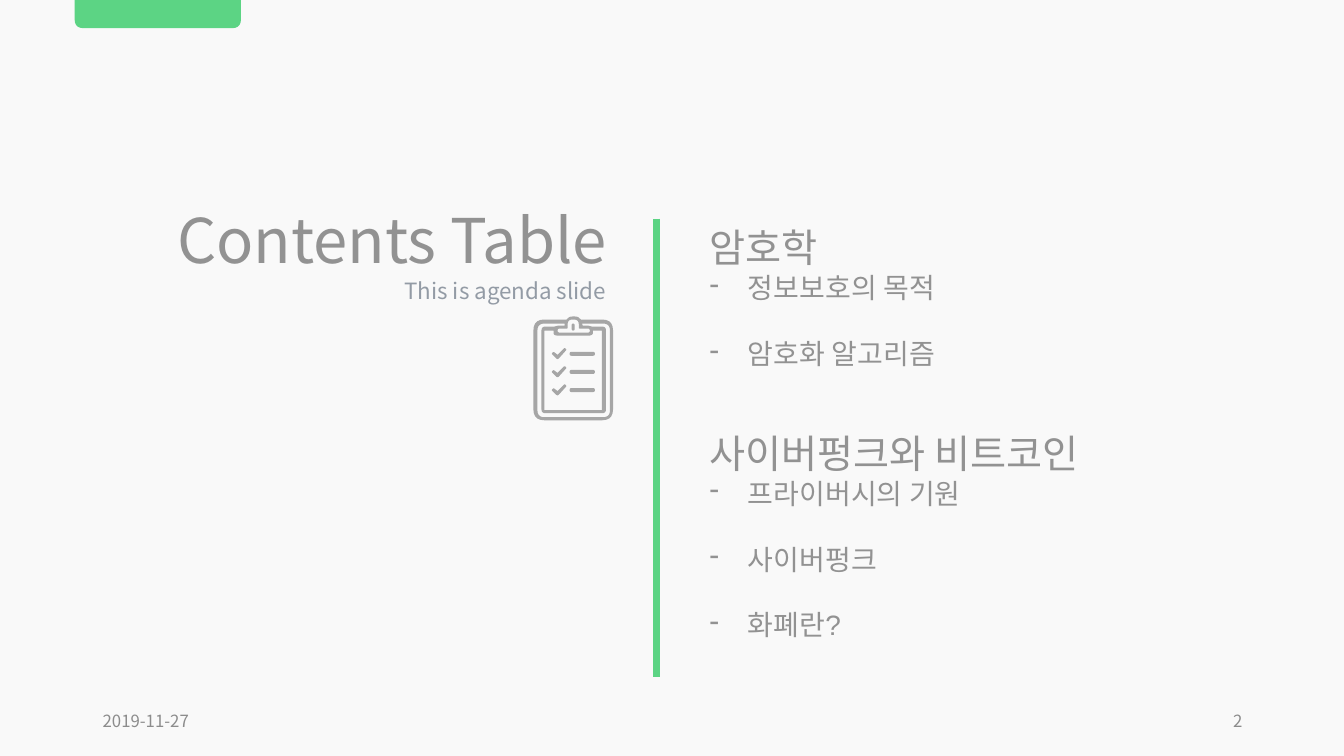
from lxml.etree import SubElement
from pptx import Presentation
from pptx.dml.color import RGBColor
from pptx.enum.shapes import MSO_CONNECTOR as Connector
from pptx.enum.text import MSO_ANCHOR as Anchor, PP_ALIGN as Align
from pptx.oxml.ns import qn
from pptx.util import Pt

PX = 9144  # EMU, 100 px to the inch
GREEN, GREY, PALE = "5CD484", "929292", "A6A6A6"
NOTO = "Noto Sans CJK KR"

# text, left, top, width, height, size, colour, alignment, anchor
LABELS = [
    ("Contents Table", 74, 195, 538, 84, 44, GREY, Align.RIGHT, Anchor.TOP),
    ("This is agenda slide", 225, 270, 386, 37, 16, "939BA5", Align.RIGHT, Anchor.TOP),
    ("2019-11-27", 92, 695, 300, 40, 12, "8C8C8C", Align.LEFT, Anchor.MIDDLE),
    ("2", 942, 695, 300, 40, 12, "8C8C8C", Align.RIGHT, Anchor.MIDDLE),
]
# heading, items, top, width, height
CHAPTERS = [
    ("암호학", ["정보보호의 목적", "암호화 알고리즘"], 217, 395, 158),
    ("사이버펑크와 비트코인", ["프라이버시의 기원", "사이버펑크", "화폐란?"], 421, 543, 226),
]
CHAPTER_LEFT, HANGING = 694, 38

# Outlines are corners: x, y, rounding
TAB = [(74, 0, 0), (239, 0, 0), (239, 28, 9), (74, 28, 9)]
BOARD_EDGE = [(529, 317, 11), (562, 317, 0), (565, 314, 3), (573, 314, 3),
              (576, 317, 0), (608, 317, 11), (608, 417, 11), (529, 417, 11)]
CLIP_HOLE = [(563, 326, 1), (563, 317, 5), (574, 317, 5), (574, 326, 1),
             (585, 326, 2), (585, 330, 2), (553, 330, 2), (553, 326, 2)]
PAPER = [(540, 328, 0), (549, 328, 0), (549, 333, 5), (588, 333, 5),
         (588, 328, 0), (597, 328, 0), (597, 407, 0), (540, 407, 0)]
FRAME_GAP = [(560, 321, 0), (533, 321, 7), (533, 414, 7), (605, 414, 7),
             (605, 321, 7), (577, 321, 0), (578, 323, 0), (583, 323, 0),
             (587, 324, 0), (601, 324, 4), (601, 410, 4), (537, 410, 4),
             (537, 324, 4), (550, 324, 0), (554, 323, 0), (560, 323, 0)]
CLIP_SLOT = [(567, 321, 2), (570, 321, 2), (570, 328, 2), (567, 328, 2)]
DASH = [(565, 349, 2), (590, 349, 2), (590, 353, 2), (565, 353, 2)]
TICK = [(547, 351, 1), (549, 349, 1), (553, 352, 0), (560, 345, 1),
        (562, 347, 1), (553, 357, 2)]
ROWS, ROW_STEP = 3, 18


def rgb(colour):
    return RGBColor.from_string(colour)


def round_corners(corners, steps=5):
    """Return the outline as points in EMU, each rounded corner a short curve."""
    points = []
    for index, (x, y, radius) in enumerate(corners):
        if not radius:
            points.append((x * PX, y * PX))
            continue
        ends = []
        for other_x, other_y, _ in (corners[index - 1], corners[(index + 1) % len(corners)]):
            dx, dy = other_x - x, other_y - y
            length = (dx * dx + dy * dy) ** 0.5
            share = min(radius / length, 0.5)
            ends.append((x + dx * share, y + dy * share))
        (ax, ay), (bx, by) = ends
        for step in range(steps + 1):
            t = step / steps
            a, mid, b = (1 - t) ** 2, 2 * t * (1 - t), t * t
            points.append(((a * ax + mid * x + b * bx) * PX,
                           (a * ay + mid * y + b * by) * PX))
    return points


def add_outline(page, colour, *contours):
    """Draw one filled shape; contours after the first cut holes or fill them."""
    first, *others = [round_corners(contour) for contour in contours]
    builder = page.shapes.build_freeform(*first[0], scale=1.0)
    builder.add_line_segments(first[1:])
    for points in others:
        builder.move_to(*points[0])
        builder.add_line_segments(points[1:])
    shape = builder.convert_to_shape()
    shape.shadow.inherit = False
    shape.fill.solid()
    shape.fill.fore_color.rgb = rgb(colour)
    shape.line.fill.background()
    return shape


def add_frame(page, left, top, width, height, anchor=Anchor.TOP):
    box = page.shapes.add_textbox(left * PX, top * PX, width * PX, height * PX)
    frame = box.text_frame
    frame.word_wrap = True
    frame.vertical_anchor = anchor
    return frame


def add_span(para, text, size, font, colour):
    span = para.add_run()
    span.text = text
    span.font.size = Pt(size)
    span.font.name = font
    span.font.color.rgb = rgb(colour)


def add_chapter(page, heading, items, top, width, height):
    frame = add_frame(page, CHAPTER_LEFT, top, width, height)
    add_span(frame.paragraphs[0], heading, 28, "Arial", GREY)
    for index, item in enumerate(items):
        para = frame.add_paragraph()
        para.space_before = Pt(23 if index else 0)
        props = para._p.get_or_add_pPr()
        props.set("marL", str(HANGING * PX))
        props.set("indent", str(-HANGING * PX))
        SubElement(props, qn("a:buChar")).set("char", "-")
        add_span(para, item, 20, "Arial", GREY)


def add_clipboard(page):
    parts = [add_outline(page, PALE, BOARD_EDGE, CLIP_HOLE, PAPER, FRAME_GAP),
             add_outline(page, PALE, CLIP_SLOT)]
    for row in range(ROWS):
        for mark in (DASH, TICK):
            moved = [(x, y + row * ROW_STEP, radius) for x, y, radius in mark]
            parts.append(add_outline(page, PALE, moved))
    page.shapes.add_group_shape(parts)


def main():
    deck = Presentation()
    deck.slide_width, deck.slide_height = 1333 * PX, 750 * PX
    page = deck.slides.add_slide(deck.slide_layouts[6])
    page.background.fill.solid()
    page.background.fill.fore_color.rgb = rgb("F9F9F9")

    add_outline(page, GREEN, TAB)
    for chapter in CHAPTERS:
        add_chapter(page, *chapter)
    for text, left, top, width, height, size, colour, align, anchor in LABELS:
        para = add_frame(page, left, top, width, height, anchor).paragraphs[0]
        para.alignment = align
        add_span(para, text, size, NOTO, colour)

    divider = page.shapes.add_connector(
        Connector.STRAIGHT, 651 * PX, 217 * PX, 651 * PX, 672 * PX)
    divider.line.color.rgb = rgb(GREEN)
    divider.line.width = Pt(4.5)
    SubElement(divider._element.spPr, qn("a:effectLst"))
    add_clipboard(page)
    deck.save("out.pptx")


if __name__ == "__main__":
    main()
